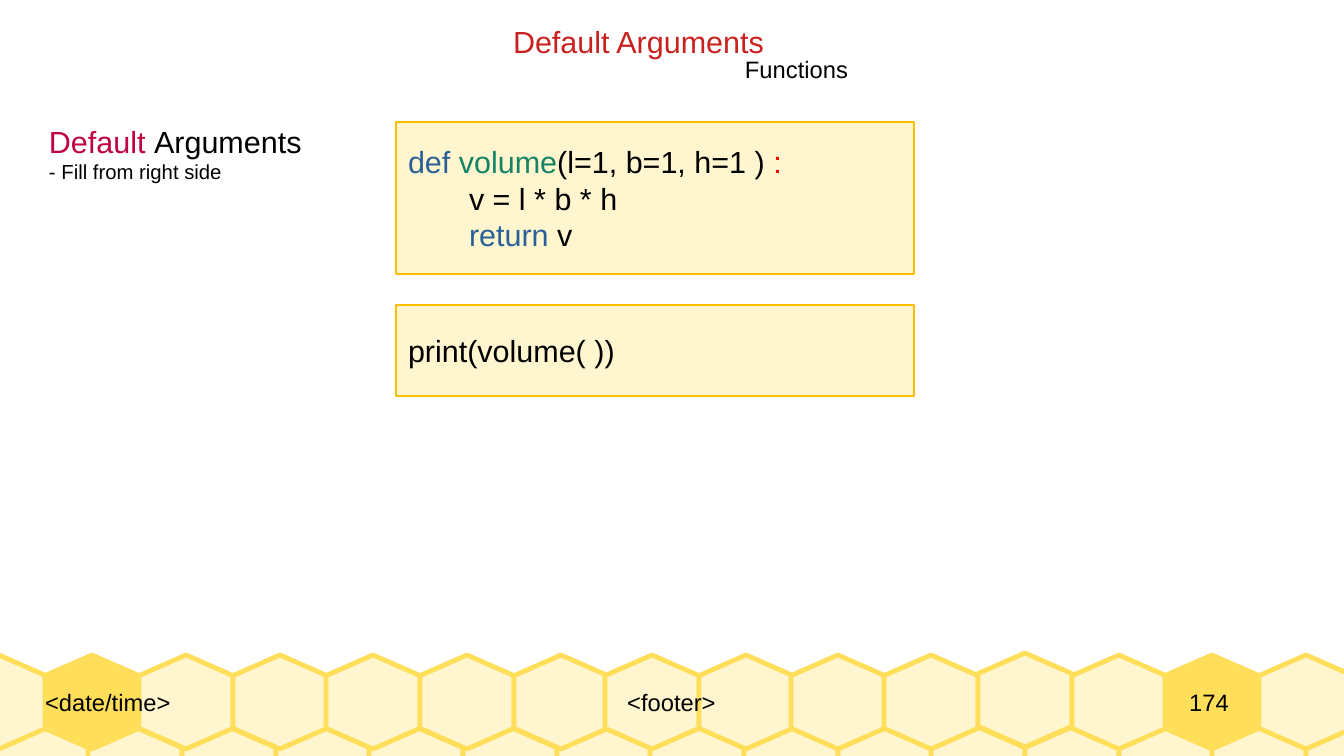
import pptx
import pptx.util
import pptx.dml.color
import pptx.enum.shapes
import pptx.enum.text

RGB = pptx.dml.color.RGBColor
ALIGN = pptx.enum.text.PP_ALIGN
ANCHOR = pptx.enum.text.MSO_ANCHOR
RECT = pptx.enum.shapes.MSO_SHAPE.RECTANGLE

BLACK = RGB(0x00, 0x00, 0x00)
RED = RGB(0xC9, 0x21, 0x1E)
BRIGHT = RGB(0xFF, 0x00, 0x00)
ROSE = RGB(0xBF, 0x00, 0x41)
BLUE = RGB(0x2A, 0x60, 0x99)
GREEN = RGB(0x15, 0x84, 0x66)
CREAM = RGB(0xFF, 0xF5, 0xCE)
HONEY = RGB(0xFF, 0xDE, 0x59)
AMBER = RGB(0xFF, 0xBF, 0x00)

SCALE = 914400 / 122
WIDE, HIGH = 1344, 756


def px(num):
    return pptx.util.Emu(round(num * SCALE))


def place(box):
    return [px(num) for num in box]


def write(shape, lines, size=18, align=ALIGN.LEFT, anchor=ANCHOR.TOP, inset=(12, 6)):
    frame = shape.text_frame
    frame.word_wrap = True
    frame.auto_size = pptx.enum.text.MSO_AUTO_SIZE.NONE
    frame.vertical_anchor = anchor
    frame.margin_left = frame.margin_right = px(inset[0])
    frame.margin_top = frame.margin_bottom = px(inset[1])
    for row, line in enumerate(lines):
        para = frame.add_paragraph() if row else frame.paragraphs[0]
        para.alignment = align
        for text, color, *small in line:
            run = para.add_run()
            run.text = text
            run.font.name = "Arial"
            run.font.size = pptx.util.Pt(small[0] if small else size)
            run.font.color.rgb = color


def label(slide, box, lines, **form):
    write(slide.shapes.add_textbox(*place(box)), lines, **form)


def paint(shape, fill, edge, width):
    shape.shadow.inherit = False
    shape.fill.solid()
    shape.fill.fore_color.rgb = fill
    shape.line.color.rgb = edge
    shape.line.width = pptx.util.Pt(width)


def cell(slide, left, top, side, fill):
    mid, high, low = side / 2, side * 0.22, side * 0.78
    dots = [(mid, 0), (0, high), (0, low), (mid, side), (side, low), (side, high)]
    dots = [(px(left + x), px(top + y)) for x, y in dots]
    form = slide.shapes.build_freeform(*dots[0], scale=1.0)
    form.add_line_segments(dots[1:], close=True)
    paint(form.convert_to_shape(), fill, HONEY, 2.83)


def comb(slide, box):
    left, top, wide, high = box
    side = 94
    for col in range(15):
        cell(slide, left - 5 + col * 281 // 3, top + 72, side, CREAM)
    for col in range(15):
        shift = 2 * (col > 6) + 2 * (col > 8)
        lift = 2 if col == 11 else 0
        fill = HONEY if col in (1, 13) else CREAM
        cell(slide, left - 48 + col * 281 // 3 - shift, top - lift, side, fill)
    marks = [
        ("<date/time>", 45, 321, ALIGN.LEFT),
        ("<footer>", 366, 611, ALIGN.CENTER),
        ("174", 1133, 152, ALIGN.CENTER),
    ]
    for text, start, span, align in marks:
        label(slide, (left + start, top, span, side), [[(text, BLACK)]],
              size=14, align=align, anchor=ANCHOR.MIDDLE, inset=(0, 0))


def head(slide, box):
    left, top, wide, high = box
    title = slide.shapes.title
    title.left, title.top, title.width, title.height = place((left, top, 322, 46))
    write(title, [[("Default Arguments", RED)]])
    label(slide, (left + 232, top + 32, 139, 39), [[("Functions", BLACK)]], size=14)


def notes(slide, box):
    label(slide, box, [
        [("Default ", ROSE), ("Arguments", BLACK)],
        [("- Fill from right side", BLACK, 12)],
    ])


def code(slide, box):
    left, top, wide, high = box
    define = [
        [("def ", BLUE), ("volume", GREEN), ("(l=1, b=1, h=1 ) ", BLACK), (":", BRIGHT)],
        [("\tv = l * b * h", BLACK)],
        [("\t", BLACK), ("return", BLUE), (" v", BLACK)],
    ]
    call = [[("print(volume( ))", BLACK)]]
    for lines, down, tall in ((define, 0, 152), (call, 183, high - 183)):
        pane = slide.shapes.add_shape(RECT, *place((left, top + down, wide, tall)))
        paint(pane, CREAM, AMBER, 1.42)
        write(pane, lines, anchor=ANCHOR.MIDDLE)


def main():
    deck = pptx.Presentation()
    deck.slide_width, deck.slide_height = px(WIDE), px(HIGH)
    slide = deck.slides.add_slide(deck.slide_layouts[5])
    comb(slide, (0, 655, WIDE, 101))
    head(slide, (501, 17, 371, 71))
    code(slide, (396, 122, 518, 274))
    notes(slide, (37, 117, 277, 70))
    deck.save("out.pptx")


if __name__ == "__main__":
    main()
